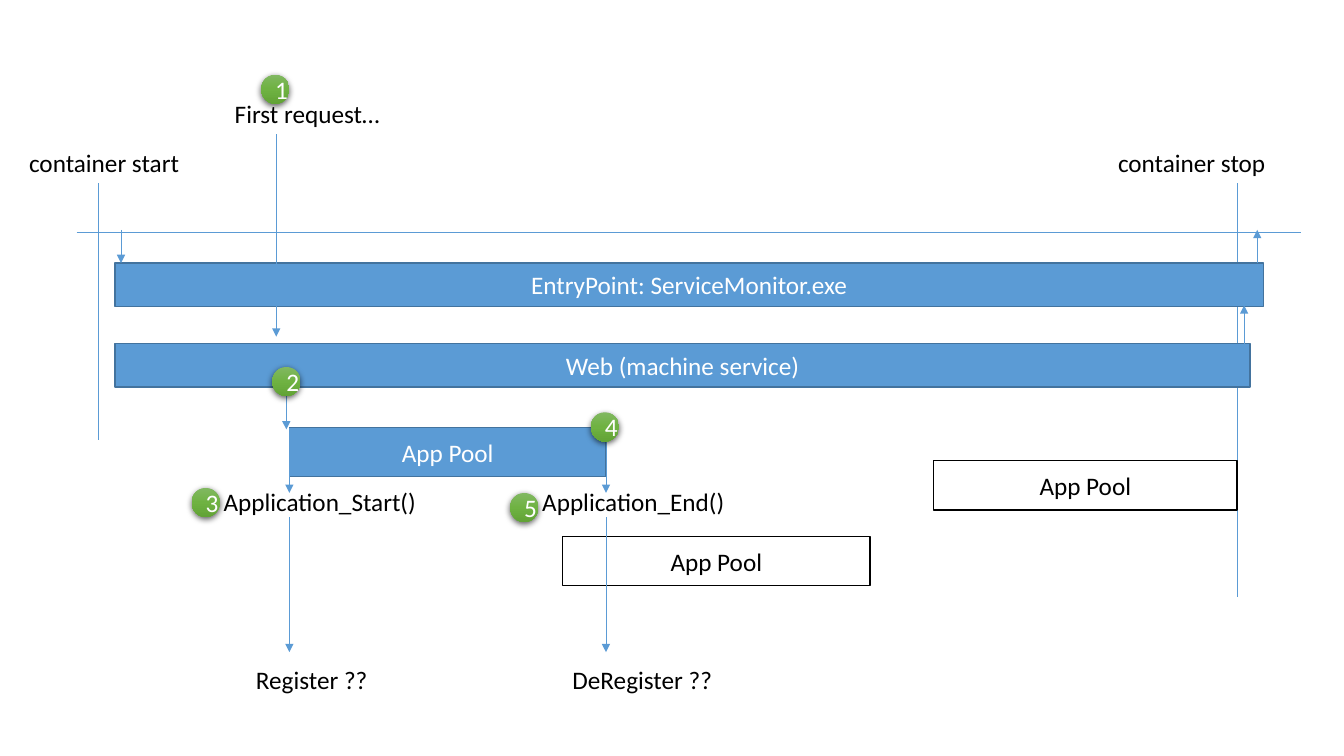
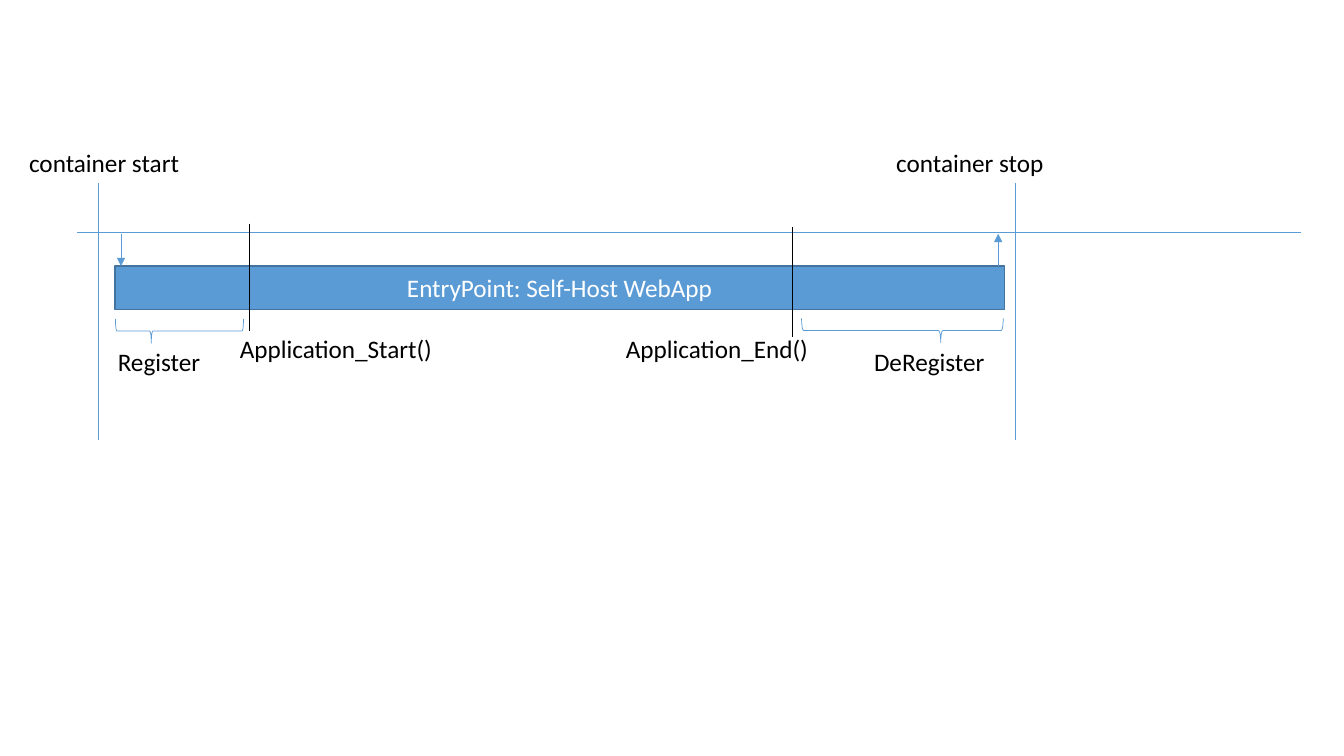
from copy import deepcopy

from lxml.etree import SubElement
from pptx import Presentation
from pptx.dml.color import RGBColor
from pptx.enum.shapes import MSO_CONNECTOR as Link, MSO_SHAPE as Form
from pptx.enum.text import MSO_ANCHOR as Anchor, MSO_AUTO_SIZE as Fit, PP_ALIGN as Align
from pptx.oxml.ns import qn
from pptx.util import Inches, Pt

HUES = {"blue": "5B9BD5", "edge": "43739E", "black": "000000", "white": "FFFFFF",
        "top": "81B861", "mid": "6FB242", "low": "62A336"}
FONT, SIZE = "Calibri", 18
BAR_X, BAR_H, POOL_H = 1.14, 0.43, 0.49


def hue(name):
    return RGBColor.from_string(HUES[name])


def style(para, color):
    para.font.name, para.font.size = FONT, Pt(SIZE)
    para.font.color.rgb = hue(color)


def label(slide, text, x, y, w):
    frame = slide.shapes.add_textbox(Inches(x), Inches(y), Inches(w), Inches(0.4)).text_frame
    frame.word_wrap, frame.auto_size = False, Fit.SHAPE_TO_FIT_TEXT
    frame.text = text
    style(frame.paragraphs[0], "black")


def line(slide, x, y, end_x, end_y, color="blue", arrow=False):
    link = slide.shapes.add_connector(Link.STRAIGHT, Inches(x), Inches(y),
                                      Inches(end_x), Inches(end_y))
    link.line.color.rgb, link.line.width = hue(color), Pt(0.5)
    if arrow:
        SubElement(link.line._get_or_add_ln(), qn("a:tailEnd"), type="triangle")
    SubElement(link._element.spPr, qn("a:effectLst"))


def rule(slide, x, top, end, color="blue"):
    line(slide, x, top, x, end, color)


def arrow(slide, x, y, end):
    line(slide, x, y, x, end, arrow=True)


def shape(slide, form, x, y, w, h):
    item = slide.shapes.add_shape(form, Inches(x), Inches(y), Inches(w), Inches(h))
    item.shadow.inherit = False
    return item


def write(item, text, color):
    frame = item.text_frame
    frame.text, frame.vertical_anchor = text, Anchor.MIDDLE
    frame.paragraphs[0].alignment = Align.CENTER
    style(frame.paragraphs[0], color)


def bar(slide, text, x, y, w, h=BAR_H, fill="blue", edge="edge", ink="white"):
    item = shape(slide, Form.RECTANGLE, x, y, w, h)
    item.fill.solid()
    item.fill.fore_color.rgb = hue(fill)
    item.line.color.rgb, item.line.width = hue(edge), Pt(1)
    write(item, text, ink)


def badge(slide, number, x, y):
    item = shape(slide, Form.OVAL, x, y, 0.28, 0.29)
    item.line.fill.background()
    props = item._element.spPr
    # Three-step green gradient
    item.fill.gradient()
    item.fill.gradient_angle = 270
    stops = props.find(".//" + qn("a:gsLst"))
    stops.insert(1, deepcopy(stops[0]))
    for stop, place, name in zip(item.fill.gradient_stops, (0, 0.5, 1), ("top", "mid", "low")):
        stop.position, stop.color.rgb = place, hue(name)
    # Soft shadow below
    glow = SubElement(props.find(qn("a:effectLst")), qn("a:outerShdw"), blurRad=str(Pt(4.5)),
                      dist=str(Pt(1.5)), dir="5400000", algn="ctr", rotWithShape="0")
    tint = SubElement(glow, qn("a:srgbClr"), val=HUES["black"])
    SubElement(tint, qn("a:alpha"), val="63000")
    write(item, str(number), "white")


def brace(slide, x, y, w, h, bend, tip):
    item = shape(slide, Form.RIGHT_BRACE, x, y, w, h)
    item.rotation = 90
    item.adjustments[0], item.adjustments[1] = bend, tip
    item.fill.background()
    item.line.color.rgb, item.line.width = hue("blue"), Pt(0.5)


def scene(deck, stop, foot):
    """Add a slide with the time axis and the container's start and stop."""
    slide = deck.slides.add_slide(deck.slide_layouts[6])
    line(slide, 0.76, 2.31, 12.9, 2.31)
    rule(slide, 0.98, 1.82, 4.37)
    rule(slide, stop, 1.82, foot)
    label(slide, "container start", 0.19, 1.41, 1.7)
    label(slide, "container stop", stop - 1.28, 1.41, 1.68)
    return slide


def service(deck):
    slide = scene(deck, 12.27, 5.92)
    # Processes
    bar(slide, "EntryPoint: ServiceMonitor.exe", BAR_X, 2.61, 11.39)
    bar(slide, "Web (machine service)", BAR_X, 3.41, 11.26)
    bar(slide, "App Pool", 2.87, 4.24, 3.14, POOL_H)
    for x, y, w in ((9.26, 4.57, 3.01), (5.58, 5.32, 3.05)):
        bar(slide, "App Pool", x, y, w, POOL_H, "white", "black", "black")
    # Start, stop and request arrows
    for x, y, end in ((1.2, 2.28, 2.61), (12.34, 3.41, 3.03), (12.47, 2.61, 2.28),
                      (2.74, 1.33, 3.34), (2.84, 3.84, 4.26)):
        arrow(slide, x, y, end)
    label(slide, "First request…", 2.23, 0.93, 1.67)
    # Events at both ends of the pool
    for x, event, left, wide, note, span in (
            (2.87, "Application_Start()", 2.12, 2.13, "Register ??", 1.32),
            (6.01, "Application_End()", 5.28, 2.03, "DeRegister ??", 1.6)):
        arrow(slide, x, 4.25, 4.89)
        arrow(slide, x, 5.13, 6.47)
        label(slide, event, left, 4.78, wide)
        label(slide, note, x - 0.43, 6.54, span)
    # Step numbers
    steps = (2.59, 0.74), (2.7, 3.64), (1.9, 4.84), (5.86, 4.09), (5.06, 4.89)
    for number, (x, y) in enumerate(steps, 1):
        badge(slide, number, x, y)


def hosted(deck):
    slide = scene(deck, 10.07, 4.37)
    # Process
    bar(slide, "EntryPoint: Self-Host WebApp", BAR_X, 2.64, 8.82)
    arrow(slide, 1.2, 2.32, 2.64)
    arrow(slide, 9.9, 2.64, 2.32)
    # Register and deregister phases
    brace(slide, 1.66, 2.65, 0.24, 1.27, 0.06, 0.72)
    brace(slide, 8.83, 2.28, 0.24, 2, 0.08, 0.31)
    label(slide, "Register", 1.07, 3.39, 1.03)
    label(slide, "DeRegister", 8.57, 3.39, 1.31)
    # Application events
    rule(slide, 2.47, 2.22, 3.28, "black")
    rule(slide, 7.86, 2.25, 3.34, "black")
    label(slide, "Application_Start()", 2.28, 3.26, 2.13)
    label(slide, "Application_End()", 6.11, 3.26, 2.03)


def main():
    deck = Presentation()
    deck.slide_width, deck.slide_height = Inches(13.33), Inches(7.5)
    service(deck)
    hosted(deck)
    deck.save("out.pptx")


main()
